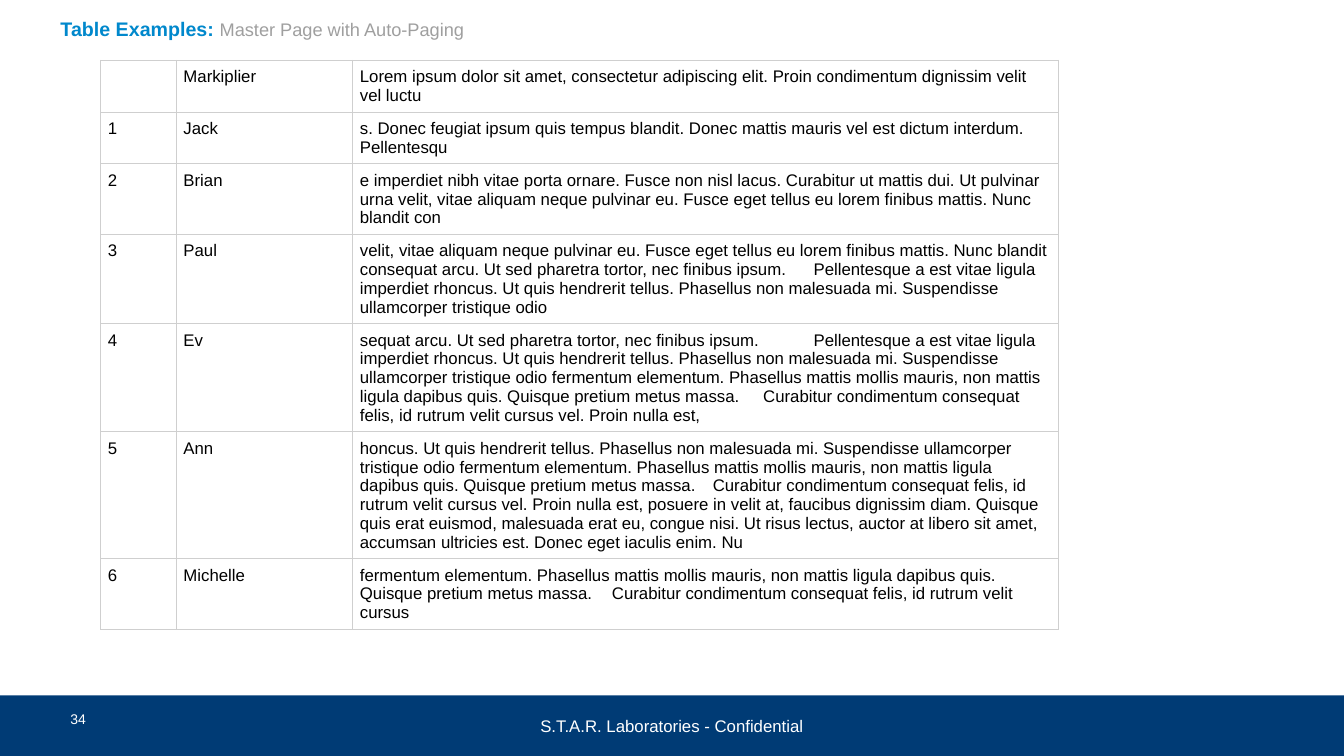
from lxml.etree import SubElement
from pptx import Presentation
from pptx.dml.color import RGBColor
from pptx.enum.shapes import MSO_SHAPE
from pptx.enum.text import MSO_ANCHOR, PP_ALIGN
from pptx.oxml.ns import qn
from pptx.util import Inches, Pt

NAVY = RGBColor(0x00, 0x3B, 0x75)
BLUE = RGBColor(0x00, 0x88, 0xCC)
GRAY = RGBColor(0x9F, 0x9F, 0x9F)
BORDER = RGBColor(0xCF, 0xCF, 0xCF)
BLACK = RGBColor(0x00, 0x00, 0x00)
WHITE = RGBColor(0xFF, 0xFF, 0xFF)

COLUMN_WIDTHS = (0.75, 1.75, 7)
CELL_MARGIN = 0.07
LINE_HEIGHT = 0.18

PEOPLE = [
    ("", "Markiplier", 2,
     "Lorem ipsum dolor sit amet, consectetur adipiscing elit. "
     "Proin condimentum dignissim velit vel luctu"),
    ("1", "Jack", 2,
     "s. Donec feugiat ipsum quis tempus blandit. "
     "Donec mattis mauris vel est dictum interdum. Pellentesqu"),
    ("2", "Brian", 3,
     "e imperdiet nibh vitae porta ornare. Fusce non nisl lacus. "
     "Curabitur ut mattis dui. Ut pulvinar urna velit, vitae aliquam neque "
     "pulvinar eu. Fusce eget tellus eu lorem finibus mattis. Nunc blandit con"),
    ("3", "Paul", 4,
     "velit, vitae aliquam neque pulvinar eu. Fusce eget tellus eu lorem "
     "finibus mattis. Nunc blandit consequat arcu. Ut sed pharetra tortor, nec "
     "finibus ipsum. \tPellentesque a est vitae ligula imperdiet rhoncus. Ut "
     "quis hendrerit tellus. Phasellus non malesuada mi. Suspendisse "
     "ullamcorper tristique odio"),
    ("4", "Ev", 5,
     "sequat arcu. Ut sed pharetra tortor, nec finibus ipsum. \tPellentesque a "
     "est vitae ligula imperdiet rhoncus. Ut quis hendrerit tellus. Phasellus "
     "non malesuada mi. Suspendisse ullamcorper tristique odio fermentum "
     "elementum. Phasellus mattis mollis mauris, non mattis ligula dapibus "
     "quis. Quisque pretium metus massa. \tCurabitur condimentum consequat "
     "felis, id rutrum velit cursus vel. Proin nulla est,"),
    ("5", "Ann", 6,
     "honcus. Ut quis hendrerit tellus. Phasellus non malesuada mi. "
     "Suspendisse ullamcorper tristique odio fermentum elementum. Phasellus "
     "mattis mollis mauris, non mattis ligula dapibus quis. Quisque pretium "
     "metus massa. \tCurabitur condimentum consequat felis, id rutrum velit "
     "cursus vel. Proin nulla est, posuere in velit at, faucibus dignissim "
     "diam. Quisque quis erat euismod, malesuada erat eu, congue nisi. Ut "
     "risus lectus, auctor at libero sit amet, accumsan ultricies est. Donec "
     "eget iaculis enim. Nu"),
    ("6", "Michelle", 3,
     "fermentum elementum. Phasellus mattis mollis mauris, non mattis ligula "
     "dapibus quis. Quisque pretium metus massa. \tCurabitur condimentum "
     "consequat felis, id rutrum velit cursus"),
]


def set_font(font, size, color, bold=False):
    font.name = "Arial"
    font.size = Pt(size)
    font.bold = bold
    font.color.rgb = color


def add_title(slide, left, top, width, height):
    title = slide.shapes.title
    title.left, title.top = Inches(left), Inches(top)
    title.width, title.height = Inches(width), Inches(height)
    frame = title.text_frame
    frame.vertical_anchor = MSO_ANCHOR.MIDDLE
    heading = frame.paragraphs[0]
    heading.alignment = PP_ALIGN.LEFT
    topic = heading.add_run()
    topic.text = "Table Examples: "
    set_font(topic.font, 14, BLUE, bold=True)
    subtitle = heading.add_run()
    subtitle.text = "Master Page with Auto-Paging"
    set_font(subtitle.font, 13, GRAY)


def add_borders(cell):
    properties = cell._tc.get_or_add_tcPr()
    for side in ("a:lnL", "a:lnR", "a:lnT", "a:lnB"):
        line = SubElement(properties, qn(side), w=str(Pt(1)))
        fill = SubElement(line, qn("a:solidFill"))
        SubElement(fill, qn("a:srgbClr"), val=str(BORDER))


def fill_cell(cell, text):
    cell.margin_left = cell.margin_right = Inches(CELL_MARGIN)
    cell.margin_top = cell.margin_bottom = Inches(CELL_MARGIN)
    add_borders(cell)
    cell.fill.background()
    cell.text = text
    set_font(cell.text_frame.paragraphs[0].font, 12, BLACK)


def add_people_table(slide, left, top):
    heights = [2 * CELL_MARGIN + lines * LINE_HEIGHT for _, _, lines, _ in PEOPLE]
    table = slide.shapes.add_table(
        len(PEOPLE), len(COLUMN_WIDTHS), Inches(left), Inches(top),
        Inches(sum(COLUMN_WIDTHS)), Inches(sum(heights))).table
    table.first_row = False
    table.horz_banding = False
    for column, width in zip(table.columns, COLUMN_WIDTHS):
        column.width = Inches(width)
    for row, height, (number, name, _, note) in zip(table.rows, heights, PEOPLE):
        row.height = Inches(height)
        for cell, text in zip(row.cells, (number, name, note)):
            fill_cell(cell, text)


def add_footer(slide, left, top, width, height):
    band = slide.shapes.add_shape(
        MSO_SHAPE.RECTANGLE, Inches(left), Inches(top), Inches(width), Inches(height))
    band.shadow.inherit = False
    band.fill.solid()
    band.fill.fore_color.rgb = NAVY
    band.line.fill.background()
    band.text_frame.vertical_anchor = MSO_ANCHOR.MIDDLE
    notice = band.text_frame.paragraphs[0]
    notice.text = "S.T.A.R. Laboratories - Confidential"
    notice.alignment = PP_ALIGN.CENTER
    set_font(notice.font, 12, WHITE)

    page_box = slide.shapes.add_textbox(
        Inches(left + 0.6), Inches(top + 0.1), Inches(0.87), Inches(0.33))
    page_box.text_frame.word_wrap = True
    page_number = page_box.text_frame.paragraphs[0]
    page_number.text = "34"
    set_font(page_number.font, 10, WHITE)


def main():
    presentation = Presentation()
    presentation.slide_width = Inches(13.33)
    presentation.slide_height = Inches(7.5)
    slide = presentation.slides.add_slide(presentation.slide_layouts[5])
    add_title(slide, 0.5, 0.13, 12, 0.3)
    add_people_table(slide, 1, 0.6)
    add_footer(slide, 0, 6.9, 13.33, 0.6)
    presentation.save("out.pptx")


if __name__ == "__main__":
    main()
